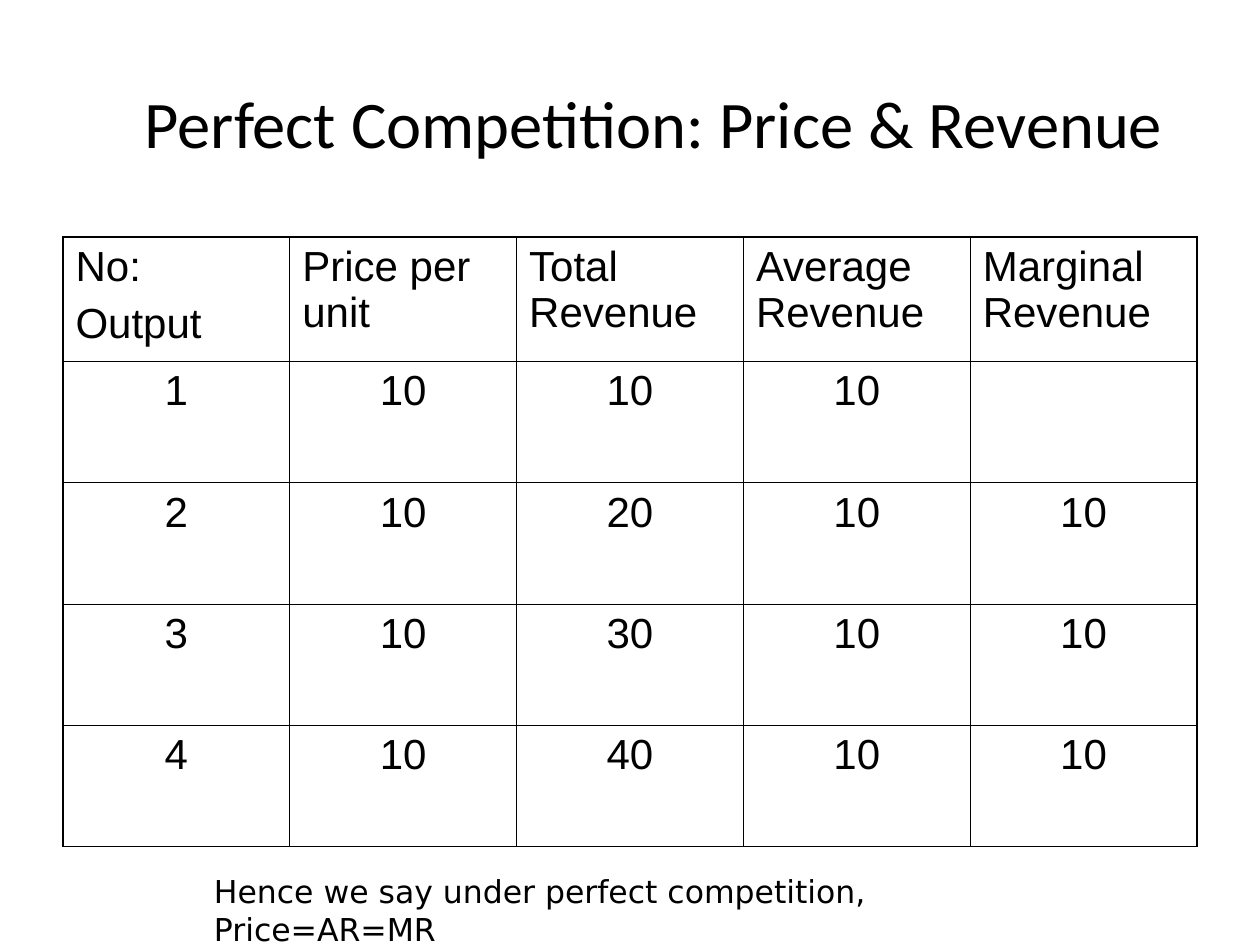
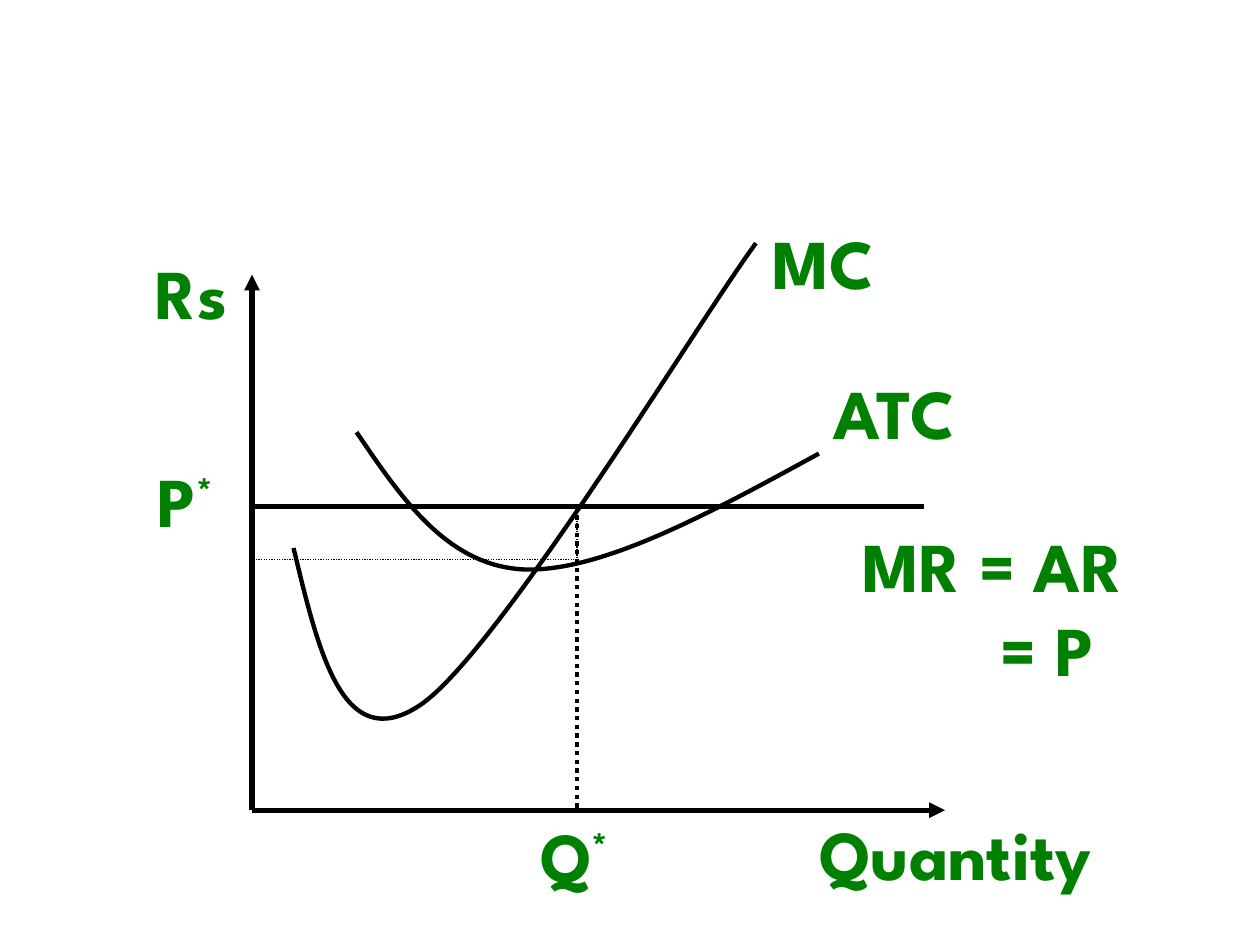
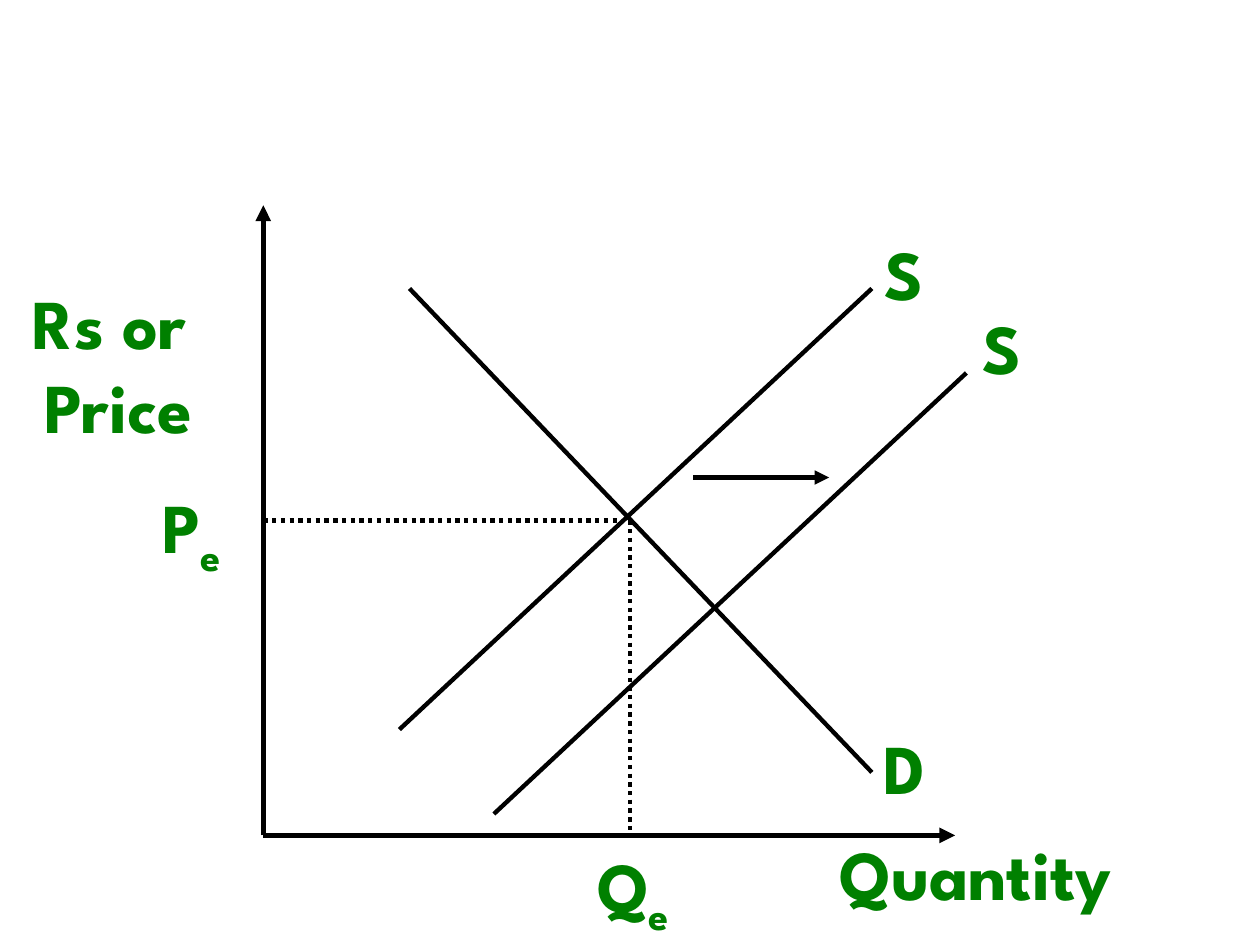
import dataclasses

import pptx
import pptx.dml.color
import pptx.enum.dml
import pptx.enum.shapes
import pptx.enum.text
import pptx.oxml.ns
import pptx.util
from lxml import etree

Inches = pptx.util.Inches
Pt = pptx.util.Pt
ALIGN = pptx.enum.text.PP_ALIGN
ANCHOR = pptx.enum.text.MSO_ANCHOR
DOTTED = pptx.enum.dml.MSO_LINE.ROUND_DOT

COLORS = {"ink": "000000", "label": "008000", "paper": "FFFFFF"}
LABEL_FONT = "League Spartan"
CURVE_WIDTH = 2.5
AXIS_WIDTH = 3
THIN, THICK = 0.45, 1.08
SUPERSCRIPT, SUBSCRIPT = 30, -25

REVENUE = [
    ["No:\nOutput", "Price per unit", "Total Revenue", "Average Revenue", "Marginal Revenue"],
    ["1", "10", "10", "10", ""],
    ["2", "10", "20", "10", "10"],
    ["3", "10", "30", "10", "10"],
    ["4", "10", "40", "10", "10"],
]


@dataclasses.dataclass
class Box:
    left: float
    top: float
    width: float
    height: float

    def inner(self, left, top, width, height):
        return Box(self.left + left, self.top + top, width, height)

    def point(self, x, y):
        return Inches(self.left + x), Inches(self.top + y)

    def lengths(self):
        return [Inches(value) for value in (self.left, self.top, self.width, self.height)]


def rgb(name):
    return pptx.dml.color.RGBColor.from_string(COLORS[name])


def add_child(parent, tag, **attributes):
    return etree.SubElement(parent, pptx.oxml.ns.qn(tag), **attributes)


def write_text(frame, text, font, size, color="ink", bold=False, align=ALIGN.LEFT,
               script="", baseline=0, last_indent=0, space_before=0):
    lines = text.split("\n")
    for index, line in enumerate(lines):
        para = frame.paragraphs[0] if index == 0 else frame.add_paragraph()
        para.alignment = align
        if index:
            para.space_before = Pt(space_before)
        pieces = [(line, 0)]
        if index == len(lines) - 1:
            if last_indent:
                para._p.get_or_add_pPr().set("marL", str(Inches(last_indent)))
            if script:
                pieces.append((script, baseline))
        for piece, shift in pieces:
            span = para.add_run()
            span.text = piece
            span.font.name = font
            span.font.size = Pt(size)
            span.font.bold = bold
            span.font.color.rgb = rgb(color)
            if shift:
                span._r.get_or_add_rPr().set("baseline", str(shift * 1000))


def add_text(page, box, text, wrap=False, anchor=ANCHOR.TOP, **text_format):
    frame = page.shapes.add_textbox(*box.lengths()).text_frame
    frame.word_wrap = wrap
    frame.vertical_anchor = anchor
    write_text(frame, text, **text_format)


def add_label(page, box, text, **text_format):
    add_text(page, box, text, font=LABEL_FONT, size=40, color="label", bold=True,
             align=ALIGN.CENTER, **text_format)


def style_line(line, width, dash=None):
    line.color.rgb = rgb("ink")
    line.width = Pt(width)
    if dash:
        line.dash_style = dash


def add_line(page, box, start, end, width=CURVE_WIDTH, dash=None, arrow=False):
    connector = page.shapes.add_connector(
        pptx.enum.shapes.MSO_CONNECTOR.STRAIGHT, *box.point(*start), *box.point(*end))
    style_line(connector.line, width, dash)
    if arrow:
        add_child(connector.line._get_or_add_ln(), "a:tailEnd", type="triangle")
    add_child(connector._element.spPr, "a:effectLst")


def bend_segments(curve):
    segments = list(curve._element.iter(pptx.oxml.ns.qn("a:lnTo")))
    outline = segments[0].getparent()
    for start in range(0, len(segments), 3):
        bend = add_child(outline, "a:cubicBezTo")
        for segment in segments[start:start + 3]:
            bend.append(segment[0])
            outline.remove(segment)


def add_curve(page, box, controls):
    builder = page.shapes.build_freeform(*box.point(*controls[0]))
    builder.add_line_segments([box.point(*control) for control in controls[1:]], close=False)
    curve = builder.convert_to_shape()
    bend_segments(curve)
    curve.shadow.inherit = False
    curve.fill.background()
    style_line(curve.line, CURVE_WIDTH)


def add_axes(page, box):
    origin = (0, box.height)
    for end in ((0, 0), (box.width, box.height)):
        add_line(page, box, origin, end, width=AXIS_WIDTH, arrow=True)


def set_borders(cell, widths):
    cell.fill.background()
    properties = cell._tc.get_or_add_tcPr()
    for position, (side, width) in enumerate(widths.items()):
        border = add_child(properties, f"a:ln{side}", w=str(Pt(width)))
        fill = add_child(border, "a:solidFill")
        add_child(fill, "a:srgbClr", val=COLORS["ink"])
        properties.insert(position, border)


def add_revenue_table(page, box, header_height=0.99):
    rows, columns = len(REVENUE), len(REVENUE[0])
    table = page.shapes.add_table(rows, columns, *box.lengths()).table
    table.first_row = False
    table.horz_banding = False
    body_height = (box.height - header_height) / (rows - 1)
    for r, values in enumerate(REVENUE):
        table.rows[r].height = Inches(body_height if r else header_height)
        for c, value in enumerate(values):
            cell = table.cell(r, c)
            if value:
                write_text(cell.text_frame, value, font="Arial", size=24, space_before=6,
                           align=ALIGN.CENTER if r else ALIGN.LEFT)
            set_borders(cell, {
                "L": THIN if c else THICK,
                "R": THICK if c == columns - 1 else THIN,
                "T": THIN if r else THICK,
                "B": THICK if r == rows - 1 else THIN,
            })


def add_title(page, box, text):
    title = page.shapes.title
    title.left, title.top, title.width, title.height = box.lengths()
    title.text_frame.auto_size = pptx.enum.text.MSO_AUTO_SIZE.NONE
    title.text_frame.vertical_anchor = ANCHOR.MIDDLE
    write_text(title.text_frame, text, font="Calibri", size=38, align=ALIGN.CENTER)


def add_revenue_slide(page, box):
    add_title(page, box.inner(0.5, -1.54, 8.5, 1.25), "Perfect Competition: Price & Revenue ")
    add_revenue_table(page, box)
    add_text(page, box.inner(1.1, 4.99, 6.64, 0.4),
             "Hence we say under perfect competition, Price=AR=MR",
             wrap=True, font="DejaVu Sans", size=18)


def add_profit_graph(page, box):
    price, output = 1.84, 2.58
    profit = page.shapes.add_shape(pptx.enum.shapes.MSO_SHAPE.RECTANGLE,
                                   *box.inner(0, price, output, 0.42).lengths())
    profit.shadow.inherit = False
    profit.fill.solid()
    profit.fill.fore_color.rgb = rgb("paper")
    style_line(profit.line, 0.75, DOTTED)

    add_axes(page, box)
    add_line(page, box, (0, price), (5.33, price))
    marginal_cost = [(0.33, 2.17), (0.53, 3), (0.72, 3.82), (1.33, 3.42),
                     (1.94, 3.02), (3.55, 0.36), (4, -0.25)]
    average_cost = [(0.83, 1.25), (1.19, 1.78), (1.55, 2.31), (2.16, 2.34),
                    (2.78, 2.36), (3.64, 1.89), (4.5, 1.42)]
    for controls in (marginal_cost, average_cost):
        add_curve(page, box, controls)
    add_line(page, box, (output, price), (output, box.height), dash=DOTTED)

    add_label(page, box.inner(-0.9, -0.25, 0.84, 0.77), "Rs")
    add_label(page, box.inner(4, -0.49, 1.07, 0.77), "MC")
    add_label(page, box.inner(4, 1.92, 3.75, 1.44), "MR = AR\n= P", wrap=True, last_indent=0.87)
    add_label(page, box.inner(4.25, 4.2, 2.67, 0.77), "Quantity")
    add_label(page, box.inner(4.47, 0.7, 1.26, 0.77), "ATC", anchor=ANCHOR.MIDDLE)
    for text, place in (("Q", (2.15, 4.22, 0.81, 0.77)), ("P", (-0.89, 1.4, 0.72, 0.77))):
        add_label(page, box.inner(*place), text, anchor=ANCHOR.MIDDLE,
                  script="*", baseline=SUPERSCRIPT)


def add_supply_graph(page, box):
    price, output = 2.5, 2.91
    add_axes(page, box)
    supply = ((4.83, 0.66), (1.08, 4.16))
    new_supply = ((5.58, 1.33), (1.83, 4.83))
    demand = ((1.16, 0.66), (4.83, 4.5))
    for start, end in (supply, demand, new_supply):
        add_line(page, box, start, end)
    add_line(page, box, (output, price), (output, 4.97), dash=DOTTED)
    add_line(page, box, (0, price), (2.83, price), dash=DOTTED)
    add_line(page, box, (3.41, 2.16), (4.49, 2.16), width=2.75, arrow=True)

    add_label(page, box.inner(-2.08, 0.54, 1.72, 1.44), "Rs or\nPrice",
              wrap=True, last_indent=0.14)
    for text, place in (("S", (4.83, 0.15, 0.5, 0.77)), ("S", (5.61, 0.74, 0.5, 0.77)),
                        ("D", (4.78, 4.07, 0.61, 0.77)), ("Quantity", (4.32, 4.91, 2.67, 0.77))):
        add_label(page, box.inner(*place), text)
    add_label(page, box.inner(-1.08, 2.16, 1.02, 0.86), "P", wrap=True,
              script="e", baseline=SUBSCRIPT)
    add_label(page, box.inner(2.52, 5.01, 0.83, 0.86), "Q", script="e", baseline=SUBSCRIPT)


def main():
    deck = pptx.Presentation()
    deck.slide_width = Inches(10)
    deck.slide_height = Inches(7.5)
    title_only, blank = deck.slide_layouts[5], deck.slide_layouts[6]
    add_revenue_slide(deck.slides.add_slide(title_only), Box(0.5, 1.88, 9, 4.84))
    add_profit_graph(deck.slides.add_slide(blank), Box(2, 2.18, 5.5, 4.25))
    add_supply_graph(deck.slides.add_slide(blank), Box(2.09, 1.63, 5.49, 5))
    deck.save("out.pptx")


if __name__ == "__main__":
    main()
